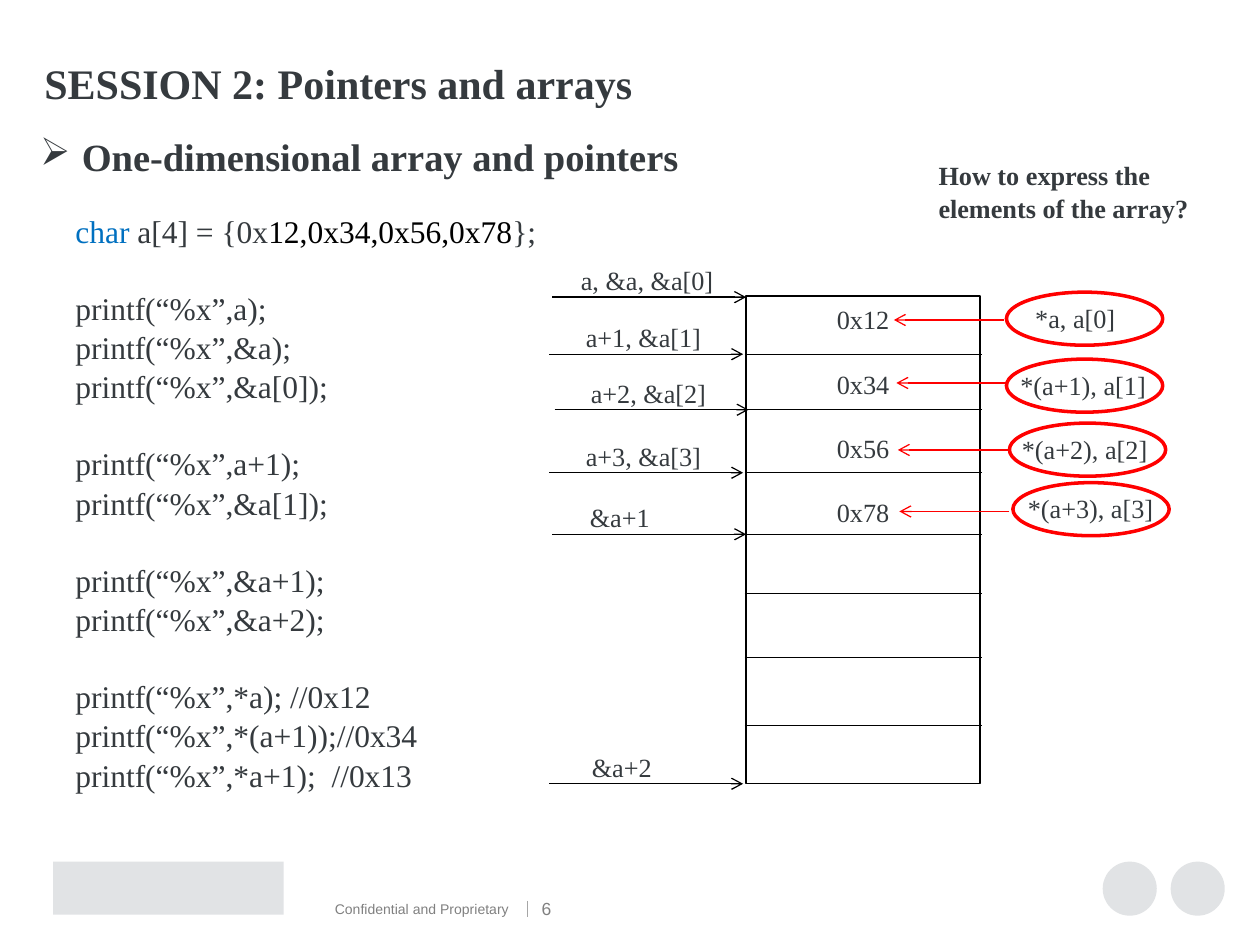
"""Build the slide on one-dimensional arrays and pointers."""
import pptx
import pptx.dml.color
import pptx.enum.shapes
import pptx.enum.text
import pptx.oxml
import pptx.oxml.ns
import pptx.util

Cm, Pt = pptx.util.Cm, pptx.util.Pt
RGBColor = pptx.dml.color.RGBColor
MSO_SHAPE = pptx.enum.shapes.MSO_SHAPE
MSO_CONNECTOR = pptx.enum.shapes.MSO_CONNECTOR
MSO_ANCHOR = pptx.enum.text.MSO_ANCHOR
PP_ALIGN = pptx.enum.text.PP_ALIGN
qn = pptx.oxml.ns.qn

INK = RGBColor(0x35, 0x3A, 0x3E)
BLACK = RGBColor(0, 0, 0)
KEYWORD = RGBColor(0x00, 0x70, 0xC0)
RED = RGBColor(0xFF, 0, 0)
GREY = RGBColor(0x80, 0x80, 0x80)
RULE_GREY = RGBColor(0xA6, 0xA6, 0xA6)
PALE = RGBColor(0xE1, 0xE3, 0xE5)
SERIF, SANS = "Times New Roman", "Arial"
LINE_SPACING = 1.04

TITLE = "SESSION 2: Pointers and arrays"
SUBTITLE = "One-dimensional array and pointers"
QUESTION = "How to express the elements of the array?"
DECLARATION = [("char", KEYWORD), (" a[4] = {0x", INK),
               ("12,0x34,0x56,0x78", BLACK), ("};", INK)]
CODE_GROUPS = [
    ["printf(“%x”,a);", "printf(“%x”,&a);", "printf(“%x”,&a[0]);"],
    ["printf(“%x”,a+1);", "printf(“%x”,&a[1]);"],
    ["printf(“%x”,&a+1);", "printf(“%x”,&a+2);"],
    ["printf(“%x”,*a); //0x12", "printf(“%x”,*(a+1));//0x34",
     "printf(“%x”,*a+1);  //0x13"],
]
VALUES = ["0x12", "0x34", "0x56", "0x78"]
# address, arrow left, arrow height, label left
ADDRESSES = [
    ("a, &a, &a[0]", 11.13, 5.99, 11.46),
    ("a+1, &a[1]", 11.07, 7.14, 11.56),
    ("a+2, &a[2]", 11.18, 8.26, 11.66),
    ("a+3, &a[3]", 11.07, 9.53, 11.56),
    ("&a+1", 11.13, 10.77, 11.64),
    ("&a+2", 11.07, 15.8, 11.68),
]
# element, oval left, oval top, label left, arrow start, arrow height
ELEMENTS = [
    ("*a, a[0]", 20.29, 5.89, 20.62, 20.24, 6.45),
    ("*(a+1), a[1]", 20.29, 7.24, 20.32, 20.29, 7.72),
    ("*(a+2), a[2]", 20.35, 8.53, 20.35, 20.32, 9.07),
    ("*(a+3), a[3]", 20.42, 9.73, 20.47, 20.35, 10.31),
]
DIVIDERS = [7.14, 8.26, 9.53, 10.77, 11.96, 13.26, 14.63]


def style(paragraph, size, color=INK, font=SERIF, bold=False):
    for run in paragraph.runs:
        run.font.size, run.font.name, run.font.bold = Pt(size), font, bold
        run.font.color.rgb = color


def add_label(slide, text, box, size=15, **look):
    frame = slide.shapes.add_textbox(*map(Cm, box)).text_frame
    frame.word_wrap = True
    frame.text = text
    style(frame.paragraphs[0], size, **look)
    return frame


def add_line(slide, start, end, color=BLACK, arrow=False):
    line = slide.shapes.add_connector(MSO_CONNECTOR.STRAIGHT, *map(Cm, start + end))
    line.line.color.rgb, line.line.width = color, Pt(0.75)
    if arrow:
        head = pptx.oxml.parse_xml(
            '<a:tailEnd xmlns:a="http://schemas.openxmlformats.org/drawingml/2006/main"'
            ' type="arrow"/>')
        line.line._get_or_add_ln().append(head)
    properties = line._element.spPr
    properties.append(properties.makeelement(qn("a:effectLst"), {}))


def add_plain_shape(slide, kind, box, fill=None, line=None, width=0.75):
    shape = slide.shapes.add_shape(kind, *map(Cm, box))
    shape.shadow.inherit = False
    if fill is None:
        shape.fill.background()
    else:
        shape.fill.solid()
        shape.fill.fore_color.rgb = fill
    if line is None:
        shape.line.fill.background()
    else:
        shape.line.color.rgb, shape.line.width = line, Pt(width)
    return shape


def add_headings(slide):
    title = slide.shapes.title
    title.left, title.top, title.width, title.height = map(Cm, (0.64, 0.76, 24.31, 1.83))
    title.text_frame.text = TITLE
    title.text_frame.vertical_anchor = MSO_ANCHOR.MIDDLE
    title.text_frame.paragraphs[0].alignment = PP_ALIGN.LEFT
    style(title.text_frame.paragraphs[0], 24, bold=True)

    subtitle = add_label(slide, SUBTITLE, (0.56, 2.24, 24.23, 1.83), 22, bold=True)
    subtitle.vertical_anchor = MSO_ANCHOR.MIDDLE
    properties = subtitle.paragraphs[0]._p.get_or_add_pPr()
    properties.set("marL", str(Cm(0.84)))
    properties.set("indent", str(-Cm(0.84)))
    properties.append(properties.makeelement(qn("a:buChar"), {"char": "➢"}))

    question = add_label(slide, QUESTION, (18.67, 3.07, 5.79, 1.57), bold=True)
    question.paragraphs[0].line_spacing = LINE_SPACING


def add_code(slide):
    code = add_label(slide, "", (1.27, 4.11, 10.24, 12.85))
    declaration = code.paragraphs[0]
    declaration.line_spacing = LINE_SPACING
    for text, color in DECLARATION:
        run = declaration.add_run()
        run.text = text
        run.font.size, run.font.name = Pt(18), SERIF
        run.font.color.rgb = color
    for group in CODE_GROUPS:
        for position, text in enumerate(group):
            statement = code.add_paragraph()
            statement.text = text
            statement.line_spacing = LINE_SPACING
            statement.space_before = Pt(0 if position else 21.6)
            style(statement, 18)


def add_memory(slide):
    memory = add_plain_shape(slide, MSO_SHAPE.RECTANGLE, (15.04, 5.97, 4.72, 9.83),
                             line=BLACK).text_frame
    memory.vertical_anchor = MSO_ANCHOR.TOP
    memory.text = "\n".join(VALUES)
    for position, value in enumerate(memory.paragraphs):
        value.alignment = PP_ALIGN.CENTER
        value.line_spacing = LINE_SPACING
        value.space_before = Pt(18 if position else 0)
        style(value, 15)
    for y in DIVIDERS:
        add_line(slide, (15.01, y), (19.79, y))
    for text, left, y, label_left in ADDRESSES:
        add_line(slide, (left, y), (left + 3.91, y), arrow=True)
        add_label(slide, text, (label_left, y - 0.78, 3.63, 0.91))
    for text, left, top, label_left, start, y in ELEMENTS:
        add_label(slide, text, (label_left, top + 0.07, 4.01, 1.02))
        add_plain_shape(slide, MSO_SHAPE.OVAL, (left, top, 3.15, 1.07), line=RED, width=2)
        add_line(slide, (start, y), (start - 2.22, y), RED, arrow=True)


def add_footer(slide):
    add_plain_shape(slide, MSO_SHAPE.RECTANGLE, (1.07, 17.37, 4.65, 1.07), fill=PALE)
    for left in (22.23, 23.6):
        add_plain_shape(slide, MSO_SHAPE.OVAL, (left, 17.37, 1.09, 1.09), fill=PALE)
    add_label(slide, "Confidential and Proprietary", (6.5, 18.03, 11.18, 0.61), 8,
              color=GREY, font=SANS)
    number = add_label(slide, "6", (10.74, 17.81, 0.84, 1.02), 10, color=GREY, font=SANS)
    number.vertical_anchor = MSO_ANCHOR.MIDDLE
    number.margin_left = number.margin_right = Cm(0.18)
    add_line(slide, (10.64, 18.16), (10.64, 18.49), RULE_GREY)


def main():
    deck = pptx.Presentation()
    deck.slide_width, deck.slide_height = Cm(25.4), Cm(19.05)
    slide = deck.slides.add_slide(deck.slide_layouts[5])
    add_footer(slide)
    add_headings(slide)
    add_code(slide)
    add_memory(slide)
    deck.save("out.pptx")


if __name__ == "__main__":
    main()
